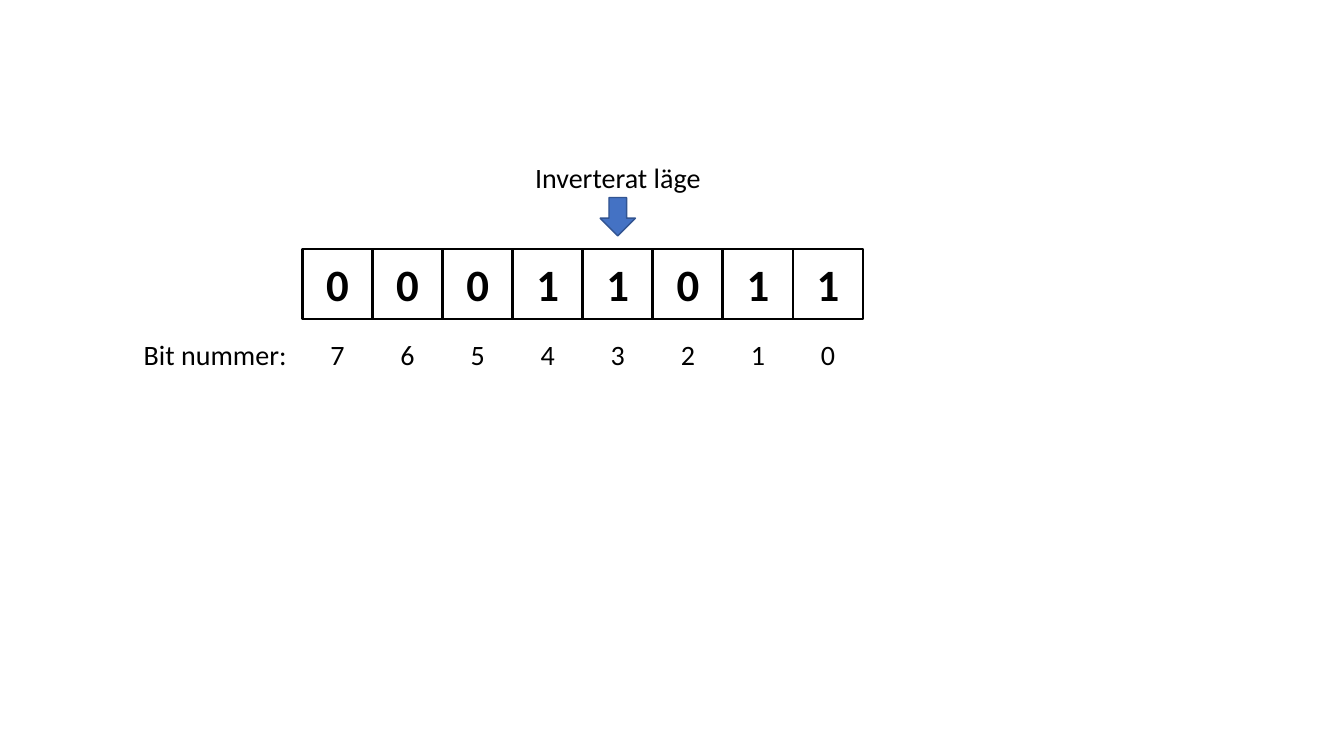
from pptx import Presentation
from pptx.dml.color import RGBColor
from pptx.enum.shapes import MSO_SHAPE
from pptx.enum.text import MSO_ANCHOR, PP_ALIGN
from pptx.util import Inches, Pt

# Grid of the byte: square cells, measured in inches
CELL = 0.695
BYTE_LEFT, BYTE_TOP = 3.0, 2.47
NUMBER_TOP = BYTE_TOP + CELL

BITS = "00011011"
INVERTED_BIT = 3


def colour(hex_code):
    return RGBColor.from_string(hex_code)


def column_left(column):
    return BYTE_LEFT + column * CELL


def write(holder, text, size=20, bold=False, ink="000000", font="Calibri"):
    """Put centred text into a shape or text box."""
    frame = holder.text_frame
    frame.word_wrap = True
    frame.vertical_anchor = MSO_ANCHOR.MIDDLE
    paragraph = frame.paragraphs[0]
    paragraph.alignment = PP_ALIGN.CENTER
    run = paragraph.add_run()
    run.text = text
    run.font.name, run.font.size, run.font.bold = font, Pt(size), bold
    run.font.color.rgb = colour(ink)


def add_label(slide, text, left, top, width):
    label = slide.shapes.add_textbox(*map(Inches, (left, top, width, CELL)))
    write(label, text)


def add_outlined(slide, preset, left, top, width, height, line, weight, fill=None):
    outlined = slide.shapes.add_shape(
        preset, *map(Inches, (left, top, width, height)))
    outlined.shadow.inherit = False
    if fill:
        outlined.fill.solid()
        outlined.fill.fore_color.rgb = colour(fill)
    else:
        outlined.fill.background()
    outlined.line.color.rgb = colour(line)
    outlined.line.width = Pt(weight)
    return outlined


def add_bit(slide, column, value):
    bit = add_outlined(slide, MSO_SHAPE.RECTANGLE, column_left(column), BYTE_TOP,
                       CELL, CELL, line="000000", weight=2)
    write(bit, value, size=32, bold=True)


def add_inversion_marker(slide, column):
    """Caption and arrow centred above one bit."""
    centre = column_left(column) + CELL / 2
    caption_width, arrow_width = 2.15, 0.35
    add_label(slide, "Inverterat läge", centre - caption_width / 2, 1.41,
              caption_width)
    add_outlined(slide, MSO_SHAPE.DOWN_ARROW, centre - arrow_width / 2, 1.96,
                 arrow_width, 0.38, line="325491", weight=1, fill="4472C4")


def main():
    deck = Presentation()
    deck.slide_width, deck.slide_height = Inches(13.33), Inches(7.5)
    slide = deck.slides.add_slide(deck.slide_layouts[6])

    # Bits of the byte
    for column, value in enumerate(BITS):
        add_bit(slide, column, value)

    # Bit numbers, highest first
    highest = len(BITS) - 1
    for column in range(len(BITS)):
        add_label(slide, str(highest - column), column_left(column), NUMBER_TOP, CELL)
    row_title_width = 1.73
    add_label(slide, "Bit nummer:", BYTE_LEFT - row_title_width, NUMBER_TOP,
              row_title_width)

    # Marker over the inverted bit
    add_inversion_marker(slide, highest - INVERTED_BIT)

    deck.save("out.pptx")


if __name__ == "__main__":
    main()
